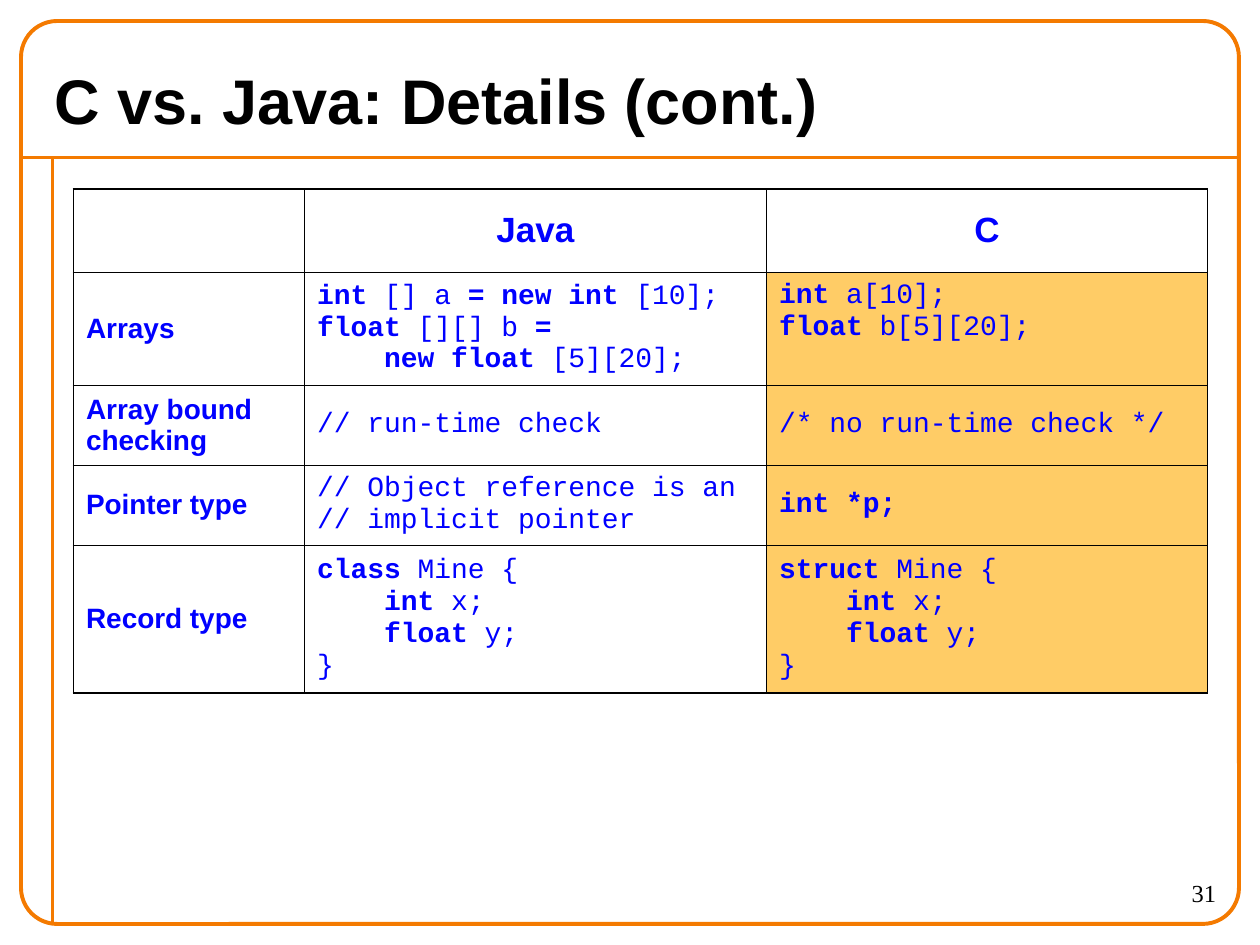
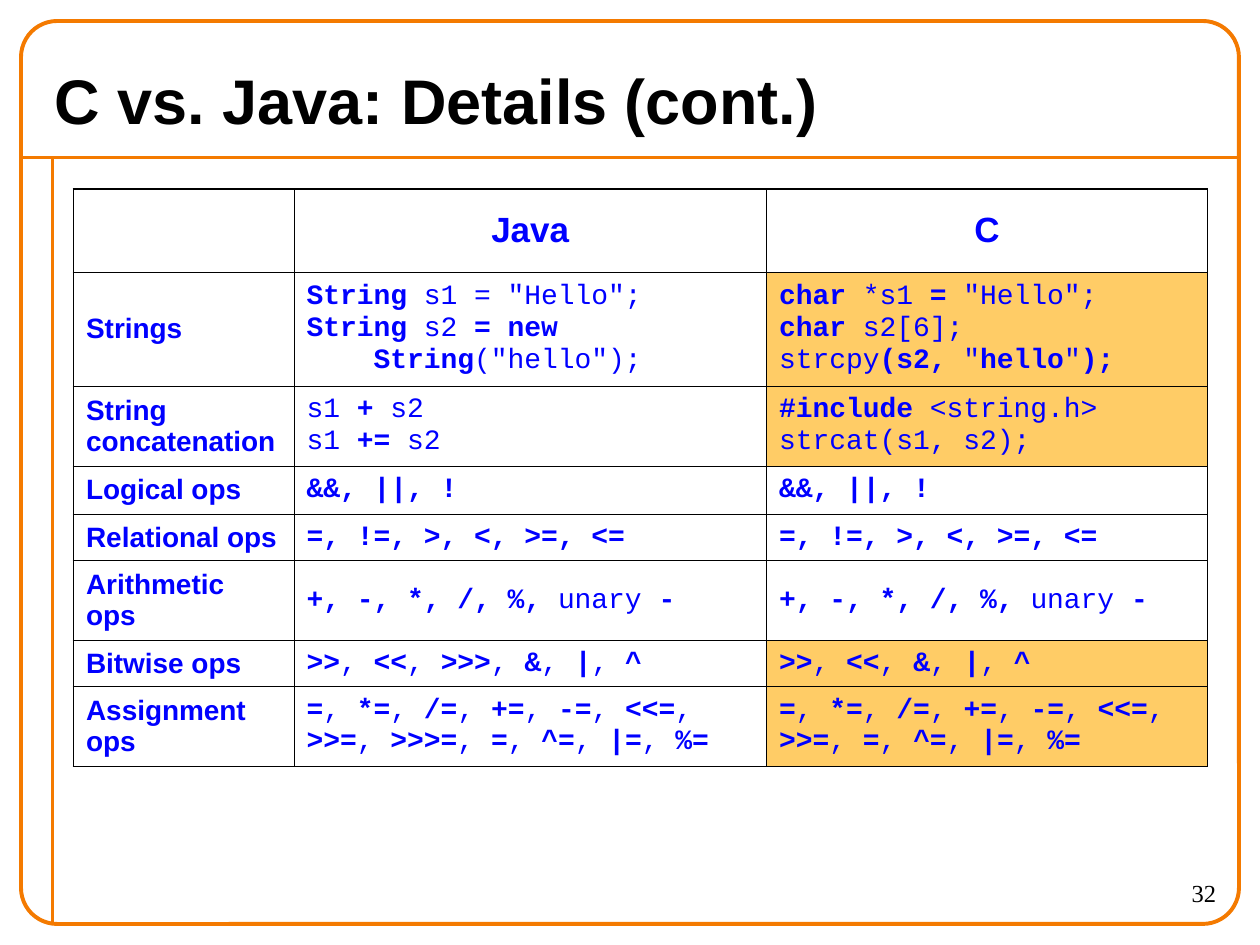
from dataclasses import dataclass

from lxml.etree import SubElement
from pptx import Presentation
from pptx.dml.color import RGBColor
from pptx.enum.shapes import MSO_CONNECTOR, MSO_SHAPE
from pptx.enum.text import MSO_ANCHOR, PP_ALIGN
from pptx.oxml.ns import qn
from pptx.util import Emu, Pt

# Shared look
EMU_PER_PX = 7620  # 120 px to the inch
ORANGE, AMBER, BLUE, BLACK = "F47A00", "FFCC66", "0000FF", "000000"
HEADING_FONT, CODE_FONT, NUMBER_FONT = "Arial", "Courier New", "Times New Roman"
RULE_WIDTH, OUTER_BORDER, INNER_BORDER = Pt(2.25), Pt(1.08), Pt(0.45)
TITLE = "C vs. Java: Details (cont.)"
FIRST_NUMBER = 31
TABLE_LEFT, TABLE_TOP = 70, 180
HEADER_HEIGHT = 79
BOLD_MARK = "`"  # switches bold on and off inside code


@dataclass
class Topic:
    name: str
    java: str
    c: str
    height: int
    differs: bool = True  # the C cell is highlighted
    c_at_top: bool = False


@dataclass
class Comparison:
    column_widths: tuple[int, int, int]
    topics: list[Topic]


def px(length: int) -> Emu:
    return Emu(length * EMU_PER_PX)


def color(value: str) -> RGBColor:
    return RGBColor.from_string(value)


def operators(symbols: str) -> str:
    """Bold operators separated by plain commas."""
    return ", ".join(f"`{symbol}`" for symbol in symbols.split())


COMPARISONS = [
    Comparison((220, 440, 420), [
        Topic("Arrays",
              "`int `[] a` = new int `[10];\n`float `[][] b` =`\n`    new float `[5][20];",
              "`int `a[10];\n`float` b[5][20];", 108, c_at_top=True),
        Topic("Array bound checking", "// run-time check",
              "/* no run-time check */", 76),
        Topic("Pointer type", "// Object reference is an\n// implicit pointer",
              "`int *p;`", 76),
        Topic("Record type",
              "`class `Mine {\n    `int` x;\n    `float` y;\n}",
              "`struct `Mine {\n    `int` x;\n    `float` y;\n}", 141),
    ]),
    Comparison((210, 450, 420), [
        Topic("Strings",
              '`String` s1 = "Hello";\n`String` s2 `= new`\n`    String`("hello");',
              '`char` *s1 `=` "Hello";\n`char` s2[6];\nstrcpy`(s2, `"`hello`"`);`', 109),
        Topic("String concatenation", "s1` + `s2\ns1 `+=` s2",
              "`#include` <string.h>\nstrcat(s1, s2);", 76),
        Topic("Logical ops", "`&&, ||, !`", "`&&, ||, !`", 46, differs=False),
        Topic("Relational ops", "`=, !=, >, <, >=, <=`", "`=, !=, >, <, >=, <=`",
              44, differs=False),
        Topic("Arithmetic ops", "`+, -, *, /, %, `unary` -`",
              "`+, -, *, /, %, `unary` -`", 76, differs=False),
        Topic("Bitwise ops", operators(">> << >>> & | ^"), operators(">> << & | ^"), 44),
        Topic("Assignment ops",
              operators("= *= /= += -= <<= >>= >>>= = ^= |= %="),
              operators("= *= /= += -= <<= >>= = ^= |= %="), 76),
    ]),
]


def style(font, name: str, size: int, ink: str, bold: bool = False) -> None:
    font.name, font.size, font.bold = name, Pt(size), bold
    font.color.rgb = color(ink)


# Frame, title and page number
def add_rule(page, start: tuple[int, int], end: tuple[int, int]) -> None:
    rule = page.shapes.add_connector(
        MSO_CONNECTOR.STRAIGHT, *(px(value) for value in start + end))
    rule.line.color.rgb = color(ORANGE)
    rule.line.width = RULE_WIDTH
    SubElement(rule._element.spPr, qn("a:effectLst"))


def add_frame(page) -> None:
    add_rule(page, (20, 150), (1180, 150))
    add_rule(page, (50, 150), (50, 880))
    frame = page.shapes.add_shape(
        MSO_SHAPE.ROUNDED_RECTANGLE, px(20), px(20), px(1160), px(860))
    frame.adjustments[0] = 0.04
    frame.shadow.inherit = False
    frame.fill.background()
    frame.line.color.rgb = color(ORANGE)
    frame.line.width = RULE_WIDTH


def add_title(page) -> None:
    title = page.shapes.title
    title.left, title.top, title.width, title.height = px(40), px(50), px(1120), px(90)
    title.text_frame.text = TITLE
    title.text_frame.vertical_anchor = MSO_ANCHOR.MIDDLE
    para = title.text_frame.paragraphs[0]
    para.alignment = PP_ALIGN.LEFT
    style(para.runs[0].font, HEADING_FONT, 36, BLACK, bold=True)


def add_page_number(page, number: int) -> None:
    box = page.shapes.add_textbox(px(1050), px(830), px(120), px(50))
    box.text_frame.word_wrap = True
    box.text_frame.text = str(number)
    para = box.text_frame.paragraphs[0]
    para.alignment = PP_ALIGN.RIGHT
    style(para.runs[0].font, NUMBER_FONT, 14, BLACK)


# Table cells
def set_borders(cell, outer_sides: set[str]) -> None:
    properties = cell._tc.get_or_add_tcPr()
    for side in "LRTB":
        width = OUTER_BORDER if side in outer_sides else INNER_BORDER
        line = SubElement(properties, qn(f"a:ln{side}"), w=str(int(width)))
        fill = SubElement(line, qn("a:solidFill"))
        SubElement(fill, qn("a:srgbClr"), val=BLACK)


def write_heading(cell, text: str, size: int, alignment: PP_ALIGN) -> None:
    cell.text_frame.text = text
    para = cell.text_frame.paragraphs[0]
    para.alignment = alignment
    style(para.runs[0].font, HEADING_FONT, size, BLUE, bold=True)


def write_code(cell, code: str) -> None:
    frame = cell.text_frame
    for index, line in enumerate(code.split("\n")):
        para = frame.add_paragraph() if index else frame.paragraphs[0]
        for position, piece in enumerate(line.split(BOLD_MARK)):
            if piece:
                span = para.add_run()
                span.text = piece
                style(span.font, CODE_FONT, 16, BLUE, bold=position % 2 == 1)


def add_comparison(page, comparison: Comparison) -> None:
    heights = [HEADER_HEIGHT] + [topic.height for topic in comparison.topics]
    widths = comparison.column_widths
    table = page.shapes.add_table(
        len(heights), len(widths), px(TABLE_LEFT), px(TABLE_TOP),
        px(sum(widths)), px(sum(heights))).table
    table.first_row = table.horz_banding = False
    for column, width in zip(table.columns, widths):
        column.width = px(width)
    for row, height in zip(table.rows, heights):
        row.height = px(height)

    # Borders and plain background
    last_row, last_column = len(heights) - 1, len(widths) - 1
    for row_index, row in enumerate(table.rows):
        for column_index, cell in enumerate(row.cells):
            edges = {"L": column_index == 0, "R": column_index == last_column,
                     "T": row_index == 0, "B": row_index == last_row}
            set_borders(cell, {side for side, is_outer in edges.items() if is_outer})
            cell.fill.background()
            cell.vertical_anchor = MSO_ANCHOR.MIDDLE

    # Wording
    for column_index, language in enumerate(("Java", "C"), start=1):
        write_heading(table.cell(0, column_index), language, 20, PP_ALIGN.CENTER)
    for row_index, topic in enumerate(comparison.topics, start=1):
        name_cell, java_cell, c_cell = table.rows[row_index].cells
        write_heading(name_cell, topic.name, 16, PP_ALIGN.LEFT)
        write_code(java_cell, topic.java)
        write_code(c_cell, topic.c)
        if topic.differs:
            c_cell.fill.solid()
            c_cell.fill.fore_color.rgb = color(AMBER)
        if topic.c_at_top:
            c_cell.vertical_anchor = MSO_ANCHOR.TOP
            c_cell.margin_top = px(8)


def main() -> None:
    deck = Presentation()
    deck.slide_width, deck.slide_height = px(1200), px(900)
    title_only = deck.slide_layouts.get_by_name("Title Only")
    for number, comparison in enumerate(COMPARISONS, start=FIRST_NUMBER):
        page = deck.slides.add_slide(title_only)
        add_frame(page)
        add_page_number(page, number)
        add_title(page)
        add_comparison(page, comparison)
    deck.save("out.pptx")


if __name__ == "__main__":
    main()
